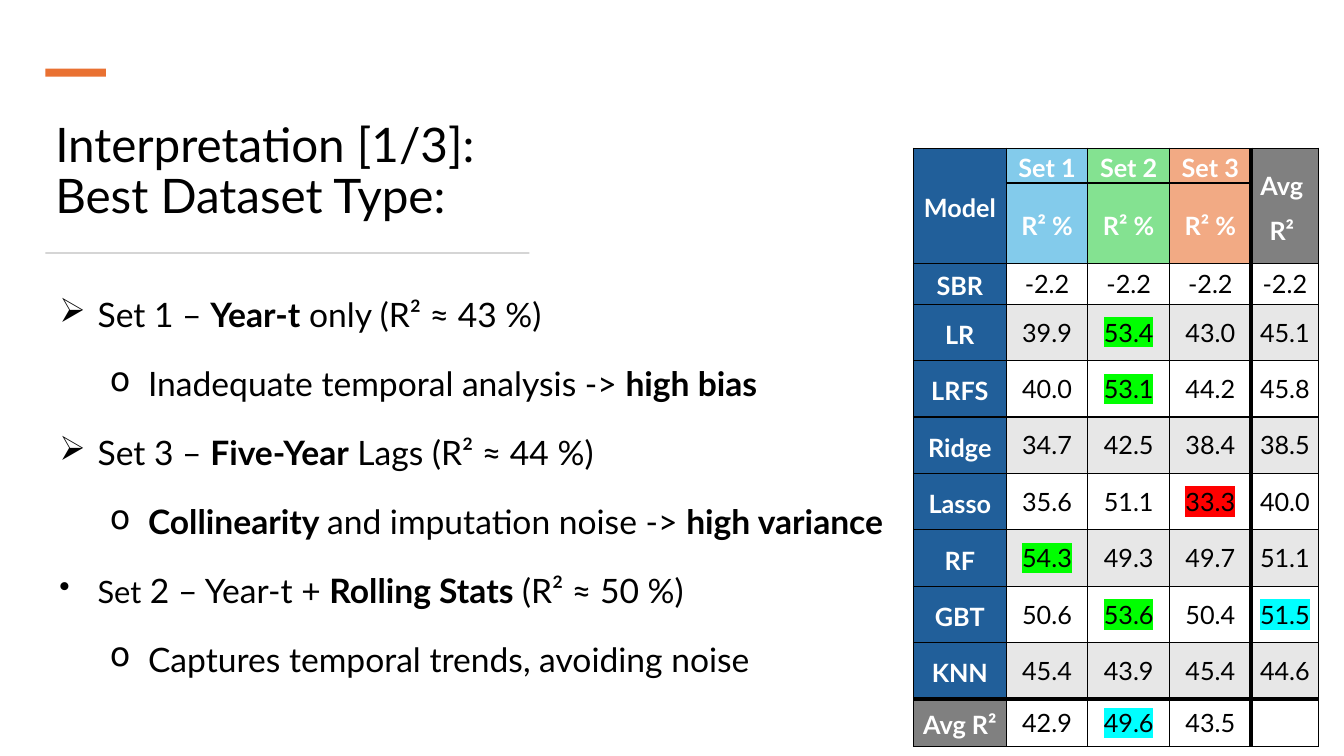
import pptx
import pptx.util
import pptx.dml.color
import pptx.enum.shapes
import pptx.enum.text
import pptx.oxml
from lxml import etree
from pptx.oxml.ns import qn

Inches, Pt = pptx.util.Inches, pptx.util.Pt
ALIGN = pptx.enum.text.PP_ALIGN
ANCHOR = pptx.enum.text.MSO_ANCHOR

# Content: a run is (text, bold) or (text, bold, size)
TITLE = ["Interpretation [1/3]:", "Best Dataset Type:"]
POINTS = [
    ("➢", 0, [("Set 1 – ", False), ("Year-t", True), (" only (R² ≈ 43 %)", False)]),
    ("o", 1, [("Inadequate temporal analysis -> ", False), ("high bias", True)]),
    ("➢", 0, [("Set 3 – ", False), ("Five-Year", True), (" Lags (R² ≈ 44 %)", False)]),
    ("o", 1, [("Collinearity ", True), ("and imputation noise -> ", False),
              ("high variance", True)]),
    ("•", 0, [("Set", False, 22), (" 2 – Year-t + ", False), ("Rolling Stats", True),
              (" (R² ≈ 50 %)", False)]),
    ("o", 1, [("Captures temporal trends, avoiding noise", False)]),
]
ROWS = [
    ["Model", "Set 1", "Set 2", "Set 3", "Avg \nR² "],
    ["", "R² %", "R² %", "R² %", ""],
    ["SBR", "-2.2", "-2.2", "-2.2", "-2.2"],
    ["LR", "39.9", "53.4", "43.0", "45.1"],
    ["LRFS", "40.0", "53.1", "44.2", "45.8"],
    ["Ridge", "34.7", "42.5", "38.4", "38.5"],
    ["Lasso", "35.6", "51.1", "33.3", "40.0"],
    ["RF", "54.3", "49.3", "49.7", "51.1"],
    ["GBT", "50.6", "53.6", "50.4", "51.5"],
    ["KNN", "45.4", "43.9", "45.4", "44.6"],
    ["Avg R² ", "42.9", "49.6", "43.5", ""],
]
GREEN, RED, CYAN = "00FF00", "FF0000", "00FFFF"
MARKS = {(3, 2): GREEN, (4, 2): GREEN, (6, 3): RED, (7, 1): GREEN,
         (8, 2): GREEN, (8, 4): CYAN, (10, 2): CYAN}
HEADS = ["215F9A", "83CBEB", "84E291", "F2AA84", "808080"]
WIDTHS = [0.92, 0.81, 0.81, 0.81, 0.67]
HEIGHTS = [0.28, 0.34, 0.32] + [0.56] * 7 + [0.47]
LAST = len(ROWS) - 1


def color(code):
    return pptx.dml.color.RGBColor.from_string(code)


def write(para, runs, size=24, ink="000000", mark=None, align=None,
          line=1.0, before=0, after=0):
    para.alignment, para.line_spacing = align, line
    para.space_before, para.space_after = Pt(before), Pt(after)
    for text, bold, *own in runs:
        run = para.add_run()
        run.text = text
        font = run.font
        font.name, font.bold = "Lato", bold
        font.size = Pt(own[0] if own else size)
        font.color.rgb = color(ink)
        if mark:
            light = etree.Element(qn("a:highlight"))
            etree.SubElement(light, qn("a:srgbClr"), val=mark)
            font._element.find(qn("a:solidFill")).addnext(light)


def bullet(para, sign, level):
    para.level = level
    props = para._p.get_or_add_pPr()
    props.set("marL", str(Inches(0.38 + 0.5 * level)))
    props.set("indent", str(-Inches(0.38)))
    etree.SubElement(props, qn("a:buChar"), char=sign)


def edge(cell, row, col):
    thick = {"L": col == 4, "R": col == 3, "T": row == LAST, "B": row == LAST - 1}
    props = cell._tc.get_or_add_tcPr()
    for spot, side in enumerate("LRTB"):
        line = etree.Element(qn("a:ln" + side), w=str(Pt(3 if thick[side] else 1)))
        fill = etree.SubElement(line, qn("a:solidFill"))
        etree.SubElement(fill, qn("a:srgbClr"), val="000000")
        props.insert(spot, line)


def box(slide, left, top, width, height):
    frame = slide.shapes.add_textbox(*map(Inches, (left, top, width, height))).text_frame
    frame.word_wrap = True
    return frame


def lines(frame, count):
    return [frame.paragraphs[0]] + [frame.add_paragraph() for _ in range(count - 1)]


def bar(slide, code, *place):
    shape = slide.shapes.add_shape(pptx.enum.shapes.MSO_SHAPE.RECTANGLE,
                                   *map(Inches, place))
    shape.shadow.inherit = False
    shape.fill.solid()
    shape.fill.fore_color.rgb = color(code)
    shape.line.fill.background()


def shade(row, col):
    if row < 2:
        return HEADS[col]
    if col == 0:
        return HEADS[4] if row == LAST else HEADS[0]
    return "E7E7E7" if row % 2 else "FFFFFF"


def grid(slide):
    table = slide.shapes.add_table(len(ROWS), len(WIDTHS), Inches(9.06), Inches(1.47),
                                   Inches(sum(WIDTHS)), Inches(sum(HEIGHTS))).table
    for col, width in enumerate(WIDTHS):
        table.columns[col].width = Inches(width)
    for col in (0, 4):
        table.cell(0, col).merge(table.cell(1, col))
    for row, texts in enumerate(ROWS):
        table.rows[row].height = Inches(HEIGHTS[row])
        for col, text in enumerate(texts):
            cell = table.cell(row, col)
            head = row < 2 or col == 0
            cell.fill.solid()
            cell.fill.fore_color.rgb = color(shade(row, col))
            edge(cell, row, col)
            cell.vertical_anchor = ANCHOR.MIDDLE
            cell.margin_left = cell.margin_right = Inches(0.07)
            cell.margin_top = cell.margin_bottom = Inches(0 if head else 0.05)
            if not text:
                continue
            parts = text.split("\n")
            for para, part in zip(lines(cell.text_frame, len(parts)), parts):
                write(para, [(part, head)], size=18, align=ALIGN.CENTER, after=8,
                      ink="FFFFFF" if head else "000000", mark=MARKS.get((row, col)),
                      line=1.15 if head else 1.0, before=0 if head else 12)


def main():
    deck = pptx.Presentation()
    deck.slide_width, deck.slide_height = Inches(13.33), Inches(7.5)
    slide = deck.slides.add_slide(deck.slide_layouts[6])

    # Title with its accent bar and rule
    frame = box(slide, 0.45, 1.08, 7.17, 1.19)
    frame.vertical_anchor = ANCHOR.BOTTOM
    for para, text in zip(lines(frame, len(TITLE)), TITLE):
        write(para, [(text, False)], size=34, line=0.9)
    bar(slide, "E97132", 0.45, 0.68, 0.6, 0.08)
    bar(slide, "D5D5D5", 0.45, 2.5, 4.8, 0.02)

    # Findings
    frame = box(slide, 0.49, 2.67, 10.32, 3.92)
    for para, (sign, level, runs) in zip(lines(frame, len(POINTS)), POINTS):
        write(para, runs, line=1.5, after=6)
        bullet(para, sign, level)

    # Scores
    grid(slide)
    deck.save("out.pptx")


if __name__ == "__main__":
    main()
